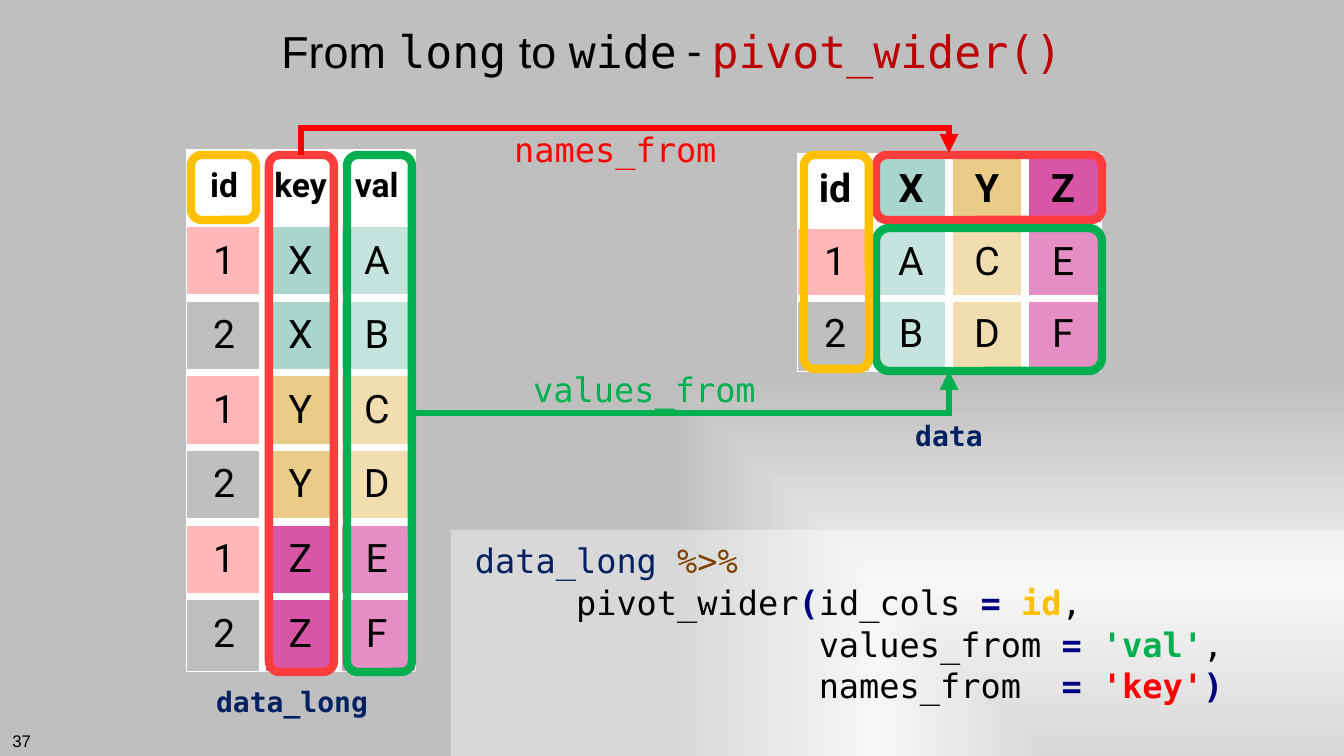
"""Builds the slide on reshaping data from long to wide with pivot_wider()."""
from pptx import Presentation
from pptx.dml.color import RGBColor as RGB
from pptx.enum.shapes import MSO_CONNECTOR as LINK, MSO_SHAPE as SHAPE
from pptx.enum.text import MSO_ANCHOR as ANCHOR, PP_ALIGN as ALIGN
from pptx.oxml import parse_xml
from pptx.oxml.ns import nsdecls, qn
from pptx.util import Emu, Pt
from lxml.etree import SubElement as sub

INK = {"black": "000000", "white": "FFFFFF", "title": "BB0000", "navy": "002060",
       "brown": "804000", "blue": "000080", "gold": "FFC000", "green": "00B050",
       "red": "FF0000", "frame": "FF3D3D", "grey": "BFBFBF", "pale": "F2F2F2"}
FILL = {"1": "FFB7B7", "2": "BFBFBF", "X": "A8D6CD", "Y": "EACC88", "Z": "D955A7",
        "A": "C5E4DD", "B": "C5E4DD", "C": "F1DDAF", "D": "F1DDAF",
        "E": "E58EC4", "F": "E58EC4"}
SANS, MONO, TABLE = "Arial", "DejaVu Sans Mono", "Roboto"


def px(*sizes):
    return [Emu(round(size * 914400 / 100.8)) for size in sizes]


def write(para, size, runs):
    for text, tint, bold, face in runs:
        run = para.add_run()
        run.text = text
        run.font.size, run.font.bold, run.font.name = Pt(size), bold, face
        run.font.color.rgb = RGB.from_string(INK[tint])


deck = Presentation()
deck.slide_width, deck.slide_height = px(1344, 756)
slide = deck.slides.add_slide(deck.slide_layouts[6])
shapes = slide.shapes

slide.background.fill.gradient()
old = slide.background.fill._xPr.find(qn("a:gradFill"))
stops = "".join(f'<a:gs pos="{pos}"><a:srgbClr val="{INK[tint]}"/></a:gs>'
                for pos, tint in ((0, "grey"), (46000, "pale"), (100000, "grey")))
old.getparent().replace(old, parse_xml(
    f'<a:gradFill {nsdecls("a")} rotWithShape="1"><a:gsLst>{stops}</a:gsLst>'
    '<a:path path="rect"><a:fillToRect l="100000" t="100000"/></a:path></a:gradFill>'))

tables = [
    (186, 149, 229, 522, 24, ["id key val", "1 X A", "2 X B", "1 Y C", "2 Y D", "1 Z E", "2 Z F"]),
    (797, 153, 304, 218, 28, ["id X Y Z", "1 A C E", "2 B D F"]),
]
for x, y, w, h, head, lines in tables:
    rows = [line.split() for line in lines]
    high, wide = len(rows), len(rows[0])
    grid = shapes.add_table(high, wide, *px(x, y, w, h)).table
    grid.first_row = grid.horz_banding = False
    for r, row in enumerate(rows):
        for c, text in enumerate(row):
            cell = grid.cell(r, c)
            cell.vertical_anchor = ANCHOR.MIDDLE
            para = cell.text_frame.paragraphs[0]
            para.alignment = ALIGN.CENTER
            write(para, 28 if r else head, [(text, "black", r == 0, TABLE)])
            edges = {"L": c == 0, "R": c == wide - 1, "T": r == 0, "B": r == high - 1}
            for side, outer in edges.items():
                edge = sub(cell._tc.get_or_add_tcPr(), qn(f"a:ln{side}"),
                           w=str(Pt(0.25 if outer else 6)))
                sub(sub(edge, qn("a:solidFill")), qn("a:srgbClr"), val=INK["white"])
            cell.fill.solid()
            cell.fill.fore_color.rgb = RGB.from_string(FILL.get(text, INK["white"]))

code = shapes.add_shape(SHAPE.RECTANGLE, *px(451, 530, 893, 226))
code.shadow.inherit = False
code.line.fill.background()
code.fill.solid()
code.fill.fore_color.rgb = RGB.from_string(INK["white"])
sub(code.fill._xPr.find(".//" + qn("a:srgbClr")), qn("a:alpha"), val="40000")
frame = code.text_frame
frame.word_wrap = True
frame.vertical_anchor = ANCHOR.TOP
frame.margin_left, frame.margin_top, frame.margin_right, frame.margin_bottom = px(10, 10, 10, 10)
script = [
    [("data_long ", "navy", False), ("%>%", "brown", False)],
    [("     pivot_wider", "black", False), ("(", "blue", True), ("id_cols ", "black", False),
     ("= ", "blue", True), ("id", "gold", True), (",", "black", False)],
    [("                 values_from ", "black", False), ("= ", "blue", True),
     ("'val'", "green", True), (",", "black", False)],
    [("                 names_from  ", "black", False), ("= ", "blue", True),
     ("'key'", "red", True), (")", "blue", True)],
]
for i, line in enumerate(script):
    para = frame.add_paragraph() if i else frame.paragraphs[0]
    para.alignment = ALIGN.LEFT
    para.space_before = Pt(1 if i else 0)
    para._p.get_or_add_pPr().set("marL", str(px(14)[0]))
    write(para, 24, [(*run, MONO) for run in line])

frames = [
    (269, 155, 65, 517, "frame", 0.1667),
    (347, 155, 65, 517, "green", 0.1667),
    (191, 155, 65, 65, "gold", 0.1667),
    (876, 155, 226, 65, "frame", 0.1667),
    (876, 228, 226, 143, "green", 0.093),
    (804, 155, 65, 214, "gold", 0.1667),
]
for x, y, w, h, tint, curve in frames:
    ring = shapes.add_shape(SHAPE.ROUNDED_RECTANGLE, *px(x, y, w, h))
    ring.shadow.inherit = False
    ring.adjustments[0] = curve
    ring.fill.background()
    ring.line.width = Pt(6)
    ring.line.color.rgb = RGB.from_string(INK[tint])

links = [
    ((411, 413, 949, 371), "green", "bentConnector2", 0, None),
    ((626, 478, 624, -170), "red", "bentConnector3", 90, 1350000),
]
for ends, tint, kind, turn, bend in links:
    link = shapes.add_connector(LINK.ELBOW, *px(*ends))
    link.line.width = Pt(4.5)
    link.line.color.rgb = RGB.from_string(INK[tint])
    props = link._element.spPr
    props.find(qn("a:xfrm")).set("rot", str(turn * 60000))
    shape = props.find(qn("a:prstGeom"))
    shape.set("prst", kind)
    if bend:
        sub(shape.find(qn("a:avLst")), qn("a:gd"), name="adj1", fmla=f"val {bend}")
    outline = props.find(qn("a:ln"))
    sub(outline, qn("a:miter"), lim="800000")
    sub(outline, qn("a:tailEnd"), type="triangle")
    sub(props, qn("a:effectLst"))

title = [("From ", "black", False, SANS), ("long", "black", False, MONO),
         (" to ", "black", False, SANS), ("wide", "black", False, MONO),
         (" - ", "black", False, TABLE), ("pivot_wider()", "title", False, MONO)]
labels = [
    (101, 0, 1142, 101, 32, ALIGN.CENTER, ANCHOR.MIDDLE, title),
    (186, 680, 229, 44, 20, ALIGN.CENTER, ANCHOR.TOP, [("data_long ", "navy", True, MONO)]),
    (797, 414, 304, 44, 20, ALIGN.CENTER, ANCHOR.TOP, [("data", "navy", True, MONO)]),
    (504, 124, 243, 92, 24, ALIGN.CENTER, ANCHOR.TOP, [("names_from ", "red", False, MONO)]),
    (523, 364, 243, 92, 24, ALIGN.CENTER, ANCHOR.TOP, [("values_from ", "green", False, MONO)]),
    (0, 726, 41, 30, 12, ALIGN.RIGHT, ANCHOR.TOP, [("37", "black", False, SANS)]),
]
for x, y, w, h, size, align, anchor, runs in labels:
    box = shapes.add_textbox(*px(x, y, w, h)).text_frame
    box.word_wrap = True
    box.vertical_anchor = anchor
    box.paragraphs[0].alignment = align
    write(box.paragraphs[0], size, runs)

deck.save("out.pptx")
